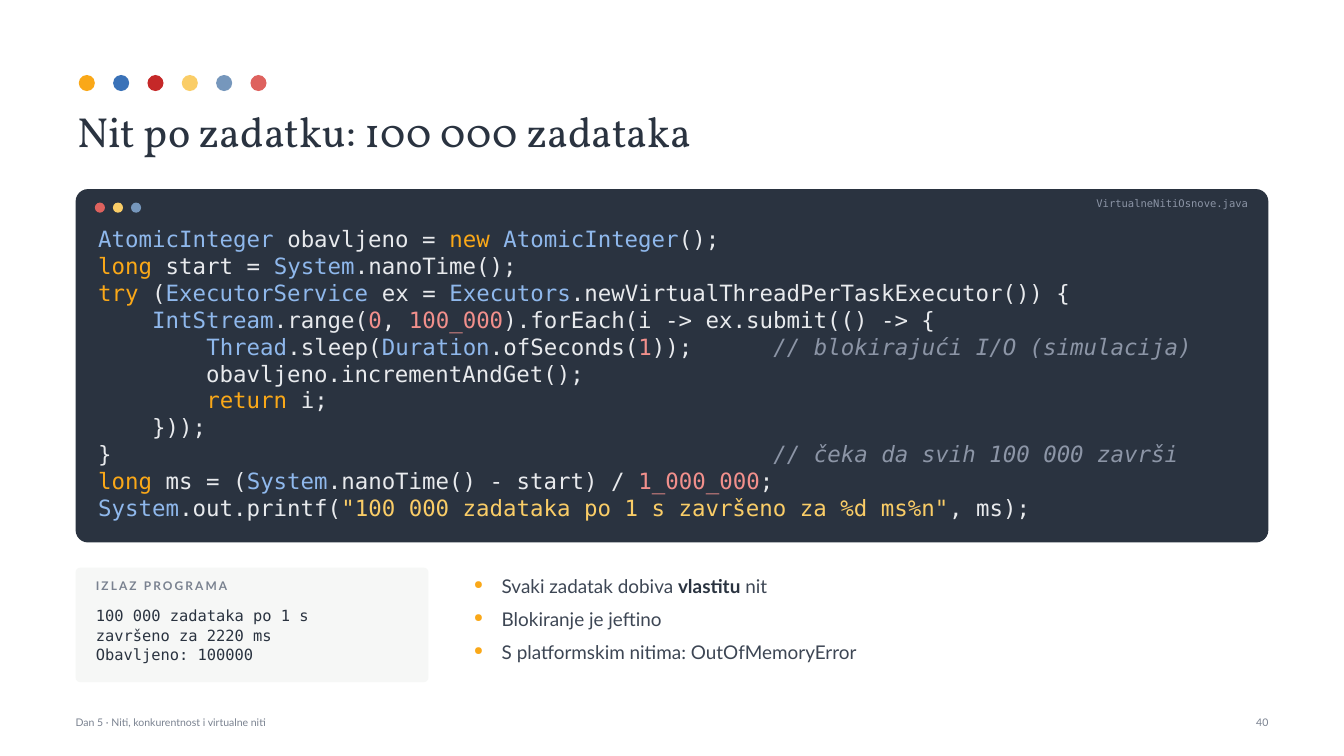
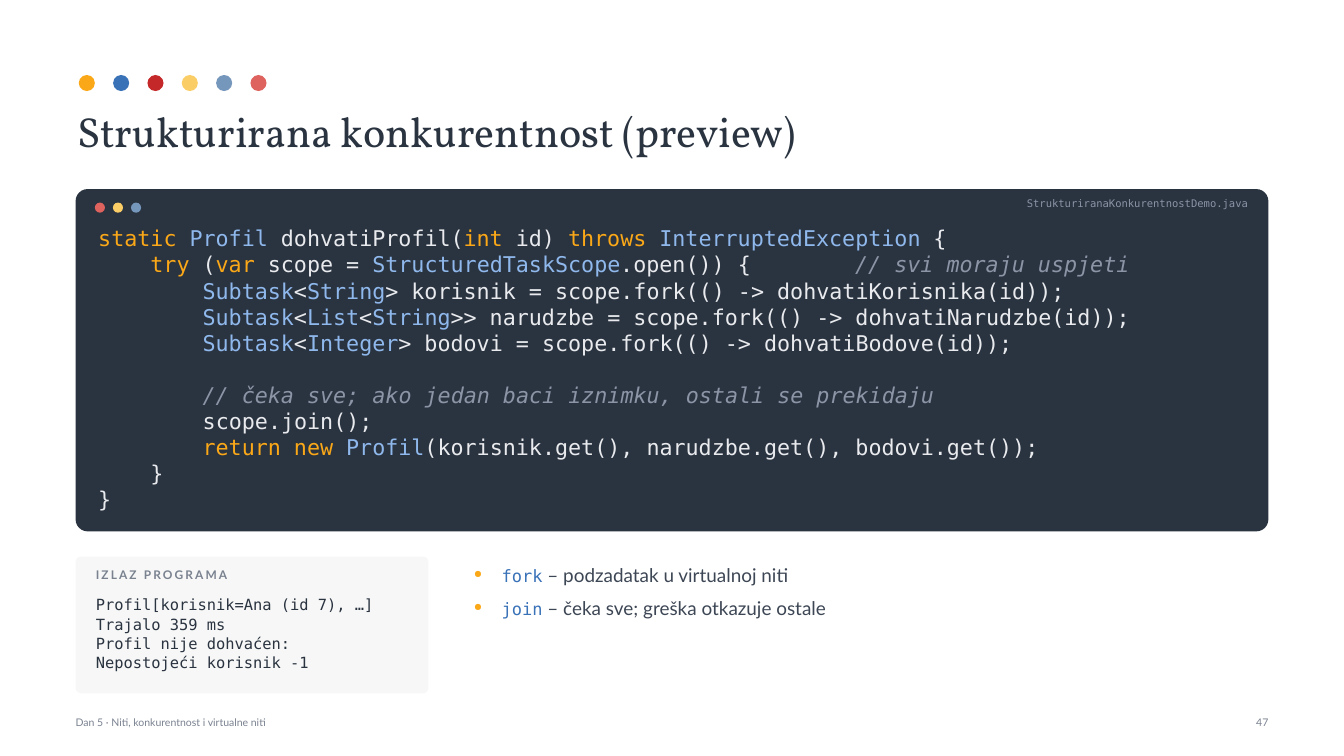
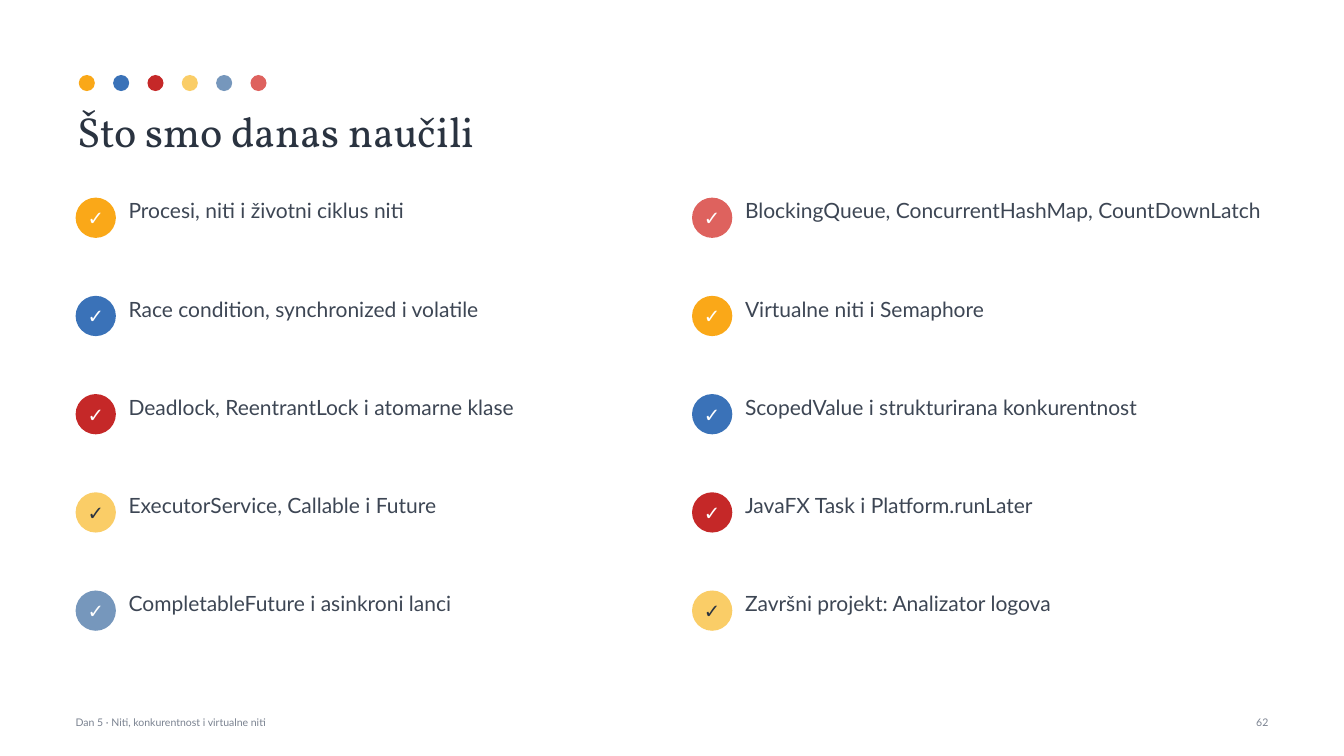
"""Build three lecture slides on virtual threads: two code slides and a recap."""
from dataclasses import dataclass, replace
from itertools import groupby
from typing import NamedTuple

from lxml import etree
from pptx import Presentation
from pptx import util as u
from pptx.dml.color import RGBColor
from pptx.enum import shapes, text
from pptx.oxml.ns import qn

SERIF, SANS, MONO = "Vollkorn", "Lato", "DejaVu Sans Mono"
ORANGE, BLUE, RED = "FAA818", "3A72B8", "C52828"
YELLOW, STEEL, CORAL = "FACD67", "7697BC", "DE625E"
ACCENTS = [ORANGE, BLUE, RED, YELLOW, STEEL, CORAL]
INK, BODY, MUTED, WHITE, PALE = "2A3340", "3D4654", "7A8290", "FFFFFF", "F6F7F6"
CODE_PLAIN, CODE_TYPE, CODE_NUMBER, CODE_COMMENT = "E8EAED", "8FB8EC", "F2908C", "8C95A6"
KEYWORDS = {"new", "long", "try", "return", "static", "int", "throws", "var"}

MARGIN, CONTENT_WIDTH, PANEL_TOP = 3.81, 60.1, 9.53
RIGHT = MARGIN + CONTENT_WIDTH
FOOTER_TOP, FOOTER_TEXT = 36.07, "Dan 5 · Niti, konkurentnost i virtualne niti"
OVAL = shapes.MSO_SHAPE.OVAL
ROUNDED = shapes.MSO_SHAPE.ROUNDED_RECTANGLE
LEFT_ALIGN, CENTER_ALIGN, RIGHT_ALIGN = text.PP_ALIGN.LEFT, text.PP_ALIGN.CENTER, text.PP_ALIGN.RIGHT


class Box(NamedTuple):
    """A rectangle in centimetres."""
    left: float
    top: float
    width: float
    height: float

    def lengths(self) -> list:
        """Return the four sides as lengths."""
        return [u.Cm(side) for side in self]


@dataclass(frozen=True)
class Piece:
    """A stretch of text in one format."""
    content: str
    size: float
    font: str = SANS
    colour: str = BODY
    bold: bool = False
    italic: bool = False


@dataclass(frozen=True)
class CodeSlide:
    """The content of a slide with code, its output and remarks."""
    title: str
    page: int
    file_name: str
    code: str
    code_size: float
    panel_height: float
    output: list[str]
    remarks: list[list[Piece]]


def rgb(colour: str) -> RGBColor:
    """Turn a hex string into a colour."""
    return RGBColor.from_string(colour)


def format_run(run, piece: Piece) -> None:
    """Give a run the format of a piece."""
    run.font.name = piece.font
    run.font.size = u.Pt(piece.size)
    run.font.bold = piece.bold
    run.font.italic = piece.italic
    run.font.color.rgb = rgb(piece.colour)


def fill_frame(frame, lines: list[list[Piece]], align=LEFT_ALIGN, spacing: float | None = None,
               inset: float = 0) -> list:
    """Write formatted lines into a text frame and return the paragraphs."""
    frame.word_wrap = True
    frame.margin_left = frame.margin_right = frame.margin_top = frame.margin_bottom = u.Cm(inset)
    for index, pieces in enumerate(lines):
        paragraph = frame.add_paragraph() if index else frame.paragraphs[0]
        paragraph.alignment = align
        if spacing:
            paragraph.line_spacing = spacing
        for piece in pieces:
            run = paragraph.add_run()
            run.text = piece.content
            format_run(run, piece)
    return list(frame.paragraphs)


def add_text(slide, box: Box, lines: list[list[Piece]], align=LEFT_ALIGN,
             spacing: float | None = None) -> list:
    """Add a wrapping text box and return its paragraphs."""
    frame = slide.shapes.add_textbox(*box.lengths()).text_frame
    paragraphs = fill_frame(frame, lines, align, spacing)
    frame.auto_size = text.MSO_AUTO_SIZE.SHAPE_TO_FIT_TEXT
    return paragraphs


def add_filled(container, kind, box: Box, colour: str, corner: float | None = None):
    """Add a flat shape without outline to a slide or group."""
    shape = container.shapes.add_shape(kind, *box.lengths())
    shape.shadow.inherit = False
    shape.fill.solid()
    shape.fill.fore_color.rgb = rgb(colour)
    shape.line.fill.background()
    if corner:
        shape.adjustments[0] = corner
    return shape


def add_dots(container, first: Box, pitch: float, colours: list[str]) -> None:
    """Add a row of equally spaced dots."""
    for index, colour in enumerate(colours):
        add_filled(container, OVAL, first._replace(left=first.left + index * pitch), colour)


def add_base(presentation, title: str, page: int):
    """Add a slide with the accent dots, title and footer."""
    slide = presentation.slides.add_slide(presentation.slide_layouts[5])
    add_dots(slide.shapes.add_group_shape(), Box(3.97, 3.78, 0.81, 0.81), 1.73, ACCENTS)
    heading = slide.shapes.title
    heading.left, heading.top, heading.width, heading.height = Box(3.63, 5.08, 60.45, 3.05).lengths()
    fill_frame(heading.text_frame, [[Piece(title, 60, SERIF, INK)]], inset=0.25)
    heading.text_frame.vertical_anchor = text.MSO_ANCHOR.TOP
    heading.text_frame.auto_size = text.MSO_AUTO_SIZE.SHAPE_TO_FIT_TEXT
    add_text(slide, Box(MARGIN, FOOTER_TOP, 40.64, 1.14), [[Piece(FOOTER_TEXT, 15, colour=MUTED)]])
    add_text(slide, Box(RIGHT - 6.35, FOOTER_TOP, 6.35, 1.14),
             [[Piece(str(page), 15, colour=MUTED)]], RIGHT_ALIGN)
    return slide


def word_colour(word: str) -> str:
    """Choose the colour of a word of code."""
    if word in KEYWORDS:
        return ORANGE
    if word[0].isdigit():
        return CODE_NUMBER
    return CODE_TYPE if word[0].isupper() else CODE_PLAIN


def highlight(line: str, size: float) -> list[Piece]:
    """Split a line of code into coloured pieces."""
    code, mark, comment = line.partition("//")
    tokens = []
    for index, part in enumerate(code.split('"')):
        if index % 2:
            tokens.append((YELLOW, f'"{part}"'))
            continue
        for _, letters in groupby(part, lambda letter: letter.isalnum() or letter == "_"):
            word = "".join(letters)
            tokens.append((word_colour(word), word))
    pieces = [Piece("".join(word for _, word in group), size, MONO, colour)
              for colour, group in groupby(tokens, lambda token: token[0])]
    if mark:
        pieces.append(Piece(mark + comment, size, MONO, CODE_COMMENT, italic=True))
    return pieces


def add_bullet(paragraph) -> None:
    """Give a paragraph a small orange bullet and a hanging indent."""
    properties = paragraph._p.get_or_add_pPr()
    properties.set("marL", str(u.Cm(1.4)))
    properties.set("indent", str(-u.Cm(1.4)))
    colour = etree.SubElement(properties, qn("a:buClr"))
    etree.SubElement(colour, qn("a:srgbClr"), val=ORANGE)
    etree.SubElement(properties, qn("a:buSzPct"), val="62000")
    etree.SubElement(properties, qn("a:buChar"), char="●")
    paragraph.space_after = u.Pt(12)


def add_code_panel(slide, content: CodeSlide) -> None:
    """Add the dark editor window with its code."""
    add_filled(slide, ROUNDED, Box(MARGIN, PANEL_TOP, CONTENT_WIDTH, content.panel_height), INK, 0.035)
    add_dots(slide, Box(4.78, 10.21, 0.51, 0.51), 0.91, [CORAL, YELLOW, STEEL])
    add_text(slide, Box(8.89, 9.91, 54, 1.14),
             [[Piece(content.file_name, 15, MONO, CODE_COMMENT)]], RIGHT_ALIGN)
    lines = [highlight(line or " ", content.code_size) for line in content.code.splitlines()]
    add_text(slide, Box(4.95, 11.35, 58.57, content.panel_height - 1.96), lines)


def add_output(slide, top: float, output: list[str]) -> None:
    """Add the pale card with the output of the program."""
    text_height = 1.12 * len(output)
    add_filled(slide, ROUNDED, Box(MARGIN, top, 17.78, text_height + 2.41), PALE, 0.04)
    label = add_text(slide, Box(4.83, top + 0.56, 16.26, 1.27),
                     [[Piece("IZLAZ PROGRAMA", 17, colour=MUTED, bold=True)]])[0]
    label.runs[0]._r.get_or_add_rPr().set("spc", "300")
    add_text(slide, Box(4.83, top + 1.91, 16.26, text_height),
             [[Piece(line, 22, MONO, INK)] for line in output], spacing=1.05)


def add_code_slide(presentation, content: CodeSlide) -> None:
    """Add a slide with code, output and remarks."""
    slide = add_base(presentation, content.title, content.page)
    add_code_panel(slide, content)
    output_top = PANEL_TOP + content.panel_height + 1.27
    add_output(slide, output_top, content.output)
    remarks_top = output_top + 0.25
    box = Box(23.88, remarks_top, 40.03, 34.93 - remarks_top)
    for paragraph in add_text(slide, box, content.remarks, spacing=1.08):
        add_bullet(paragraph)


def add_recap_slide(presentation, title: str, page: int, topics: list[str]) -> None:
    """Add a slide with two columns of ticked topics."""
    slide = add_base(presentation, title, page)
    rows = len(topics) // 2
    for index, topic in enumerate(topics):
        column, row = divmod(index, rows)
        left, top = MARGIN + column * 31.06, 9.96 + row * 4.95
        colour = ACCENTS[index % len(ACCENTS)]
        badge = add_filled(slide, OVAL, Box(left, top, 2.03, 2.03), colour)
        tick = Piece("✓", 28, colour=INK if colour == YELLOW else WHITE, bold=True)
        fill_frame(badge.text_frame, [[tick]], CENTER_ALIGN)
        badge.text_frame.vertical_anchor = text.MSO_ANCHOR.MIDDLE
        add_text(slide, Box(left + 2.67, top - 0.05, 26.24, 4.7), [[Piece(topic, 30)]], spacing=1.05)


def remark(content: str) -> Piece:
    """Return a plain piece of a remark."""
    return Piece(content, 27)


def method(name: str) -> Piece:
    """Return a method name set as code."""
    return Piece(name, 24.3, MONO, BLUE)


TASKS = CodeSlide(
    title="Nit po zadatku: 100 000 zadataka",
    page=40,
    file_name="VirtualneNitiOsnove.java",
    code="""\
AtomicInteger obavljeno = new AtomicInteger();
long start = System.nanoTime();
try (ExecutorService ex = Executors.newVirtualThreadPerTaskExecutor()) {
    IntStream.range(0, 100_000).forEach(i -> ex.submit(() -> {
        Thread.sleep(Duration.ofSeconds(1));      // blokirajući I/O (simulacija)
        obavljeno.incrementAndGet();
        return i;
    }));
}                                                 // čeka da svih 100 000 završi
long ms = (System.nanoTime() - start) / 1_000_000;
System.out.printf("100 000 zadataka po 1 s završeno za %d ms%n", ms);""",
    code_size=32,
    panel_height=17.81,
    output=["100 000 zadataka po 1 s", "završeno za 2220 ms", "Obavljeno: 100000"],
    remarks=[
        [remark("Svaki zadatak dobiva "), replace(remark("vlastitu"), colour=INK, bold=True),
         remark(" nit")],
        [remark("Blokiranje je jeftino")],
        [remark("S platformskim nitima: OutOfMemoryError")],
    ],
)

STRUCTURED = CodeSlide(
    title="Strukturirana konkurentnost (preview)",
    page=47,
    file_name="StrukturiranaKonkurentnostDemo.java",
    code="""\
static Profil dohvatiProfil(int id) throws InterruptedException {
    try (var scope = StructuredTaskScope.open()) {        // svi moraju uspjeti
        Subtask<String> korisnik = scope.fork(() -> dohvatiKorisnika(id));
        Subtask<List<String>> narudzbe = scope.fork(() -> dohvatiNarudzbe(id));
        Subtask<Integer> bodovi = scope.fork(() -> dohvatiBodove(id));

        // čeka sve; ako jedan baci iznimku, ostali se prekidaju
        scope.join();
        return new Profil(korisnik.get(), narudzbe.get(), bodovi.get());
    }
}""",
    code_size=31,
    panel_height=17.25,
    output=["Profil[korisnik=Ana (id 7), …]", "Trajalo 359 ms", "Profil nije dohvaćen:",
            "Nepostojeći korisnik -1"],
    remarks=[
        [method("fork"), remark(" – podzadatak u virtualnoj niti")],
        [method("join"), remark(" – čeka sve; greška otkazuje ostale")],
    ],
)

TOPICS = [
    "Procesi, niti i životni ciklus niti",
    "Race condition, synchronized i volatile",
    "Deadlock, ReentrantLock i atomarne klase",
    "ExecutorService, Callable i Future",
    "CompletableFuture i asinkroni lanci",
    "BlockingQueue, ConcurrentHashMap, CountDownLatch",
    "Virtualne niti i Semaphore",
    "ScopedValue i strukturirana konkurentnost",
    "JavaFX Task i Platform.runLater",
    "Završni projekt: Analizator logova",
]


def main() -> None:
    """Build and save the presentation."""
    presentation = Presentation()
    presentation.slide_width, presentation.slide_height = u.Cm(67.72), u.Cm(38.1)
    for content in (TASKS, STRUCTURED):
        add_code_slide(presentation, content)
    add_recap_slide(presentation, "Što smo danas naučili", 62, TOPICS)
    presentation.save("out.pptx")


if __name__ == "__main__":
    main()
